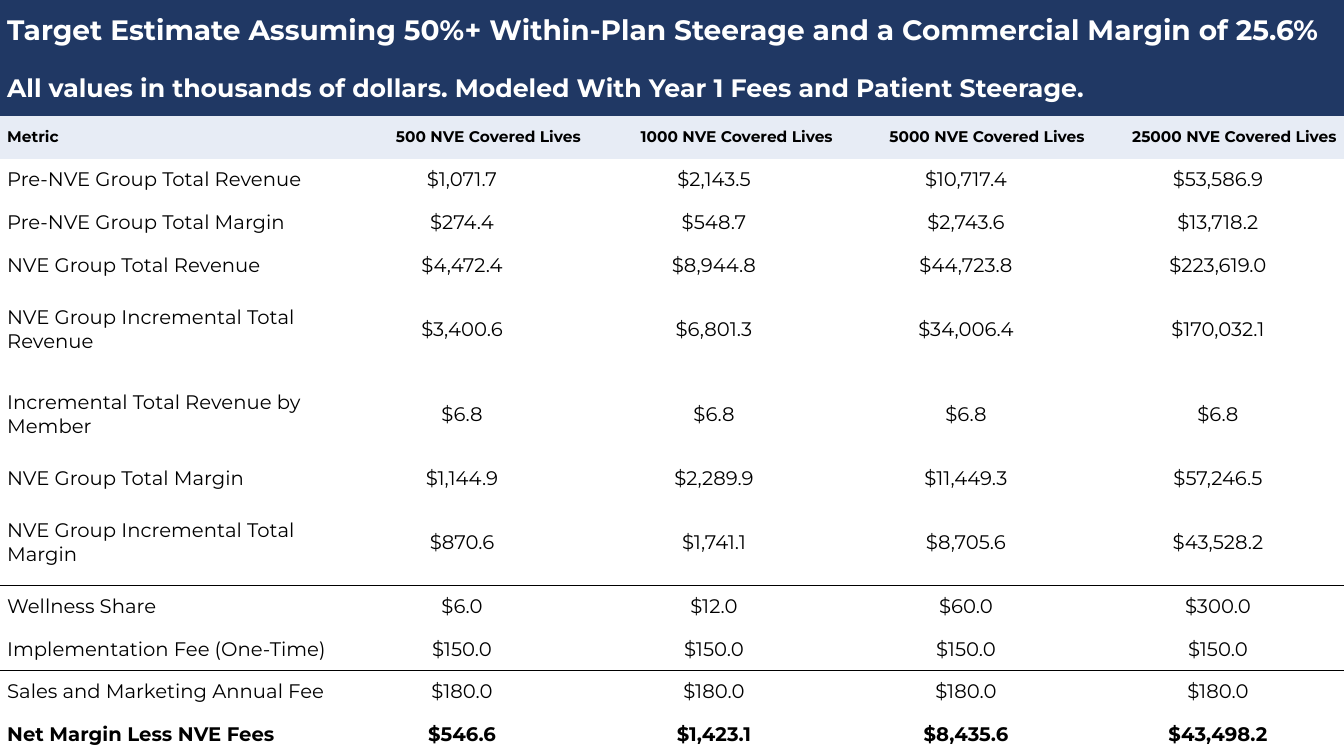
from lxml.etree import SubElement
from pptx import Presentation
from pptx.dml.color import RGBColor
from pptx.enum.text import MSO_ANCHOR as Anchor, PP_ALIGN as Align
from pptx.oxml.ns import qn
from pptx.util import Cm, Pt

COLORS = {"navy": "203864", "pale": "E7ECF5", "white": "FFFFFF", "black": "000000"}
FONT = "Montserrat"
PLAIN_STYLE = "{2D5ABB26-0587-4C30-8999-92F81FD0307C}"
SLIDE_WIDTH, SLIDE_HEIGHT = 33.87, 19.05
VALUE_WIDTH = 6.35
BANNER_HEIGHTS = [1.52, 1.4]

BANNERS = [
    ("Target Estimate Assuming 50%+ Within-Plan Steerage and a Commercial Margin of 25.6%", 20),
    ("All values in thousands of dollars. Modeled With Year 1 Fees and Patient Steerage.", 18),
]
HEADINGS = ["Metric"] + [f"{lives} NVE Covered Lives" for lives in (500, 1000, 5000, 25000)]
METRICS = [
    ("Pre-NVE Group Total Revenue", "$1,071.7", "$2,143.5", "$10,717.4", "$53,586.9"),
    ("Pre-NVE Group Total Margin", "$274.4", "$548.7", "$2,743.6", "$13,718.2"),
    ("NVE Group Total Revenue", "$4,472.4", "$8,944.8", "$44,723.8", "$223,619.0"),
    ("NVE Group Incremental Total Revenue", "$3,400.6", "$6,801.3", "$34,006.4", "$170,032.1"),
    ("Incremental Total Revenue by Member", "$6.8", "$6.8", "$6.8", "$6.8"),
    ("NVE Group Total Margin", "$1,144.9", "$2,289.9", "$11,449.3", "$57,246.5"),
    ("NVE Group Incremental Total Margin", "$870.6", "$1,741.1", "$8,705.6", "$43,528.2"),
    ("Wellness Share", "$6.0", "$12.0", "$60.0", "$300.0"),
    ("Implementation Fee (One-Time)", "$150.0", "$150.0", "$150.0", "$150.0"),
    ("Sales and Marketing Annual Fee", "$180.0", "$180.0", "$180.0", "$180.0"),
    ("Net Margin Less NVE Fees", "$546.6", "$1,423.1", "$8,435.6", "$43,498.2"),
]
TALL_METRICS = {3, 4, 6}
RULED_METRICS = {6, 8}  # metrics with a line below


def write_cell(cell, text, size=14, bold=False, color="black", align=Align.LEFT, fill=None):
    cell.margin_left = cell.margin_right = Cm(0.18)
    cell.margin_top = cell.margin_bottom = 0
    cell.vertical_anchor = Anchor.MIDDLE
    if fill:
        cell.fill.solid()
        cell.fill.fore_color.rgb = RGBColor.from_string(COLORS[fill])
    else:
        cell.fill.background()
    para = cell.text_frame.paragraphs[0]
    para.alignment = align
    span = para.add_run()
    span.text = text
    span.font.name = FONT
    span.font.size = Pt(size)
    span.font.bold = bold
    span.font.color.rgb = RGBColor.from_string(COLORS[color])


def set_border(cell, side, visible):
    props = cell._tc.get_or_add_tcPr()
    line = SubElement(props, qn(f"a:{side}"), w=str(Pt(1)))
    if visible:
        SubElement(SubElement(line, qn("a:solidFill")), qn("a:srgbClr"), val=COLORS["black"])
    else:
        SubElement(line, qn("a:noFill"))
    props.insert(0, line)  # borders come before the fill


def fill_banners(table):
    for row, (text, size) in enumerate(BANNERS):
        first = table.cell(row, 0)
        first.merge(table.cell(row, len(HEADINGS) - 1))
        write_cell(first, text, size=size, bold=True, color="white", fill="navy")


def fill_headings(table, row):
    for column, text in enumerate(HEADINGS):
        write_cell(table.cell(row, column), text, size=11, bold=True, fill="pale",
                   align=Align.RIGHT if column else Align.LEFT)


def fill_metrics(table, first_row):
    for index, values in enumerate(METRICS):
        for column, text in enumerate(values):
            cell = table.cell(first_row + index, column)
            write_cell(cell, text, bold=index == len(METRICS) - 1,
                       align=Align.CENTER if column else Align.LEFT)
            # Bottom first, since each border is inserted ahead of the last
            set_border(cell, "lnB", visible=index in RULED_METRICS)
            set_border(cell, "lnT", visible=index - 1 in RULED_METRICS)


def add_estimate_table(page, left, top, width, height):
    # Heading and metric rows share the height below the banners
    units = [1] + [2 if index in TALL_METRICS else 1 for index in range(len(METRICS))]
    unit = (height - sum(BANNER_HEIGHTS)) / sum(units)
    heights = BANNER_HEIGHTS + [unit * count for count in units]
    value_count = len(HEADINGS) - 1
    widths = [width - VALUE_WIDTH * value_count] + [VALUE_WIDTH] * value_count

    frame = page.shapes.add_table(len(heights), len(widths),
                                  Cm(left), Cm(top), Cm(width), Cm(height))
    table = frame.table
    table.first_row = table.horz_banding = False
    table._tbl.tblPr.find(qn("a:tableStyleId")).text = PLAIN_STYLE
    for row, size in zip(table.rows, heights):
        row.height = Cm(size)
    for column, size in zip(table.columns, widths):
        column.width = Cm(size)

    fill_banners(table)
    fill_headings(table, len(BANNERS))
    fill_metrics(table, len(BANNERS) + 1)


def main():
    deck = Presentation()
    deck.slide_width, deck.slide_height = Cm(SLIDE_WIDTH), Cm(SLIDE_HEIGHT)
    page = deck.slides.add_slide(deck.slide_layouts[6])
    add_estimate_table(page, 0, 0, SLIDE_WIDTH, SLIDE_HEIGHT)
    deck.save("out.pptx")


if __name__ == "__main__":
    main()
